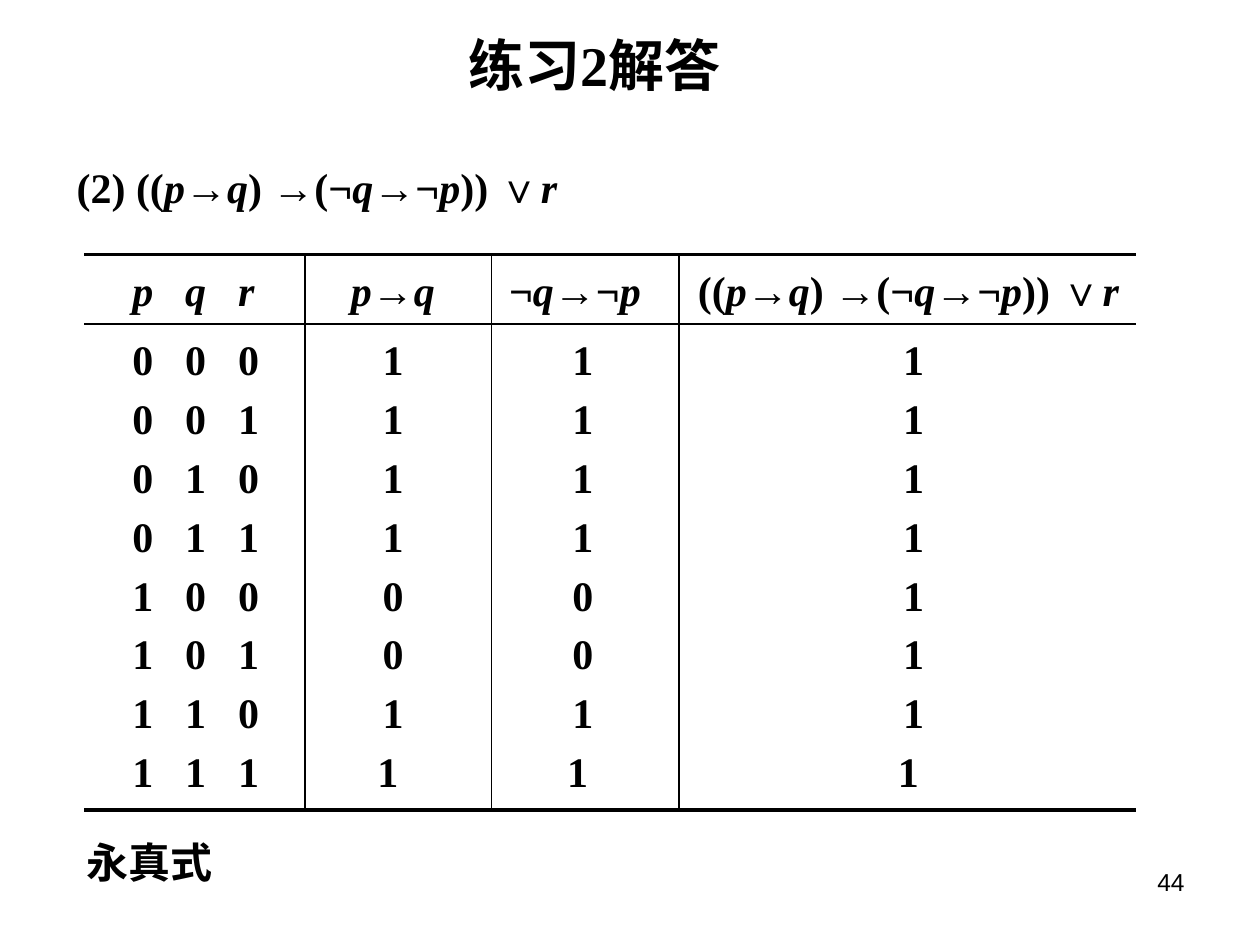
from itertools import groupby

from lxml.etree import SubElement
from pptx import Presentation
from pptx.dml.color import RGBColor
from pptx.enum.shapes import MSO_CONNECTOR as Connector
from pptx.enum.text import MSO_ANCHOR as Anchor, PP_ALIGN as Align
from pptx.oxml.ns import qn
from pptx.util import Inches, Pt

COLORS = {"ink": "000000"}
SERIF, SANS = "Times New Roman", "Arial"
VARIABLES = "pqr"

FORMULA = "((p→q) →(¬q→¬p)) ∨r"
TITLE = [("练习", SANS), ("2解答", SERIF)]
ASSIGNMENTS = ["000", "001", "010", "011", "100", "101", "110", "111"]
RESULT_COLUMNS = [
    {"header": "p→q ", "values": "11110011",
     "header_span": (2.42, 1.48), "value_span": (2.42, 1.4)},
    {"header": "¬q→¬p ", "values": "11110011",
     "header_span": (3.82, 1.57), "value_span": (3.93, 1.39)},
    {"header": FORMULA, "values": "11111111",
     "header_span": (5.24, 3.94), "value_span": (6.19, 2.12)},
]

LEFT, RIGHT = 0.67, 9.02
TOP, HEADER_BOTTOM, BOTTOM = 2.02, 2.57, 6.43
DIVIDERS = [2.42, 3.9, 5.39]
HORIZONTALS = [(TOP, 2.25), (HEADER_BOTTOM, 1), (BOTTOM, 2.25)]
CELL_INSET, VARIABLE_INSET, VARIABLE_STEP = 0.08, 0.38, 0.42
ROW_GAP = 4.8


def style(font, size, name=SERIF, bold=True):
    font.size, font.bold, font.name = Pt(size), bold, name
    font.color.rgb = RGBColor.from_string(COLORS["ink"])


def write_formula(para, text):
    style(para.font, 24)
    for is_variable, letters in groupby(text, lambda letter: letter in VARIABLES):
        span = para.add_run()
        span.text = "".join(letters)
        if is_variable:
            span.font.italic = True


def add_box(slide, left, top, width, height, align=Align.LEFT,
            anchor=Anchor.TOP, wrap=True):
    frame = slide.shapes.add_textbox(
        Inches(left), Inches(top), Inches(width), Inches(height)).text_frame
    frame.word_wrap, frame.vertical_anchor = wrap, anchor
    frame.paragraphs[0].alignment = align
    return frame


def add_tab_stops(para):
    tabs = SubElement(para._p.get_or_add_pPr(), qn("a:tabLst"))
    for step in range(1, len(VARIABLES)):
        SubElement(tabs, qn("a:tab"), pos=str(Inches(VARIABLE_STEP * step)), algn="l")


def add_column(slide, left, width, top, bottom, lines, tabbed=False):
    frame = add_box(slide, left, top, width, bottom - top)
    frame.margin_top = Inches(CELL_INSET)
    if tabbed:
        frame.margin_left = Inches(VARIABLE_INSET)
    for index, line in enumerate(lines):
        para = frame.add_paragraph() if index else frame.paragraphs[0]
        para.alignment = Align.LEFT if tabbed else Align.CENTER
        if index:
            para.space_before = Pt(ROW_GAP)
        if tabbed:
            add_tab_stops(para)
        write_formula(para, "\t".join(line) if tabbed else line)


def add_rule(slide, start, end, width):
    rule = slide.shapes.add_connector(
        Connector.STRAIGHT, *(Inches(value) for value in (*start, *end)))
    rule.line.width = Pt(width)
    rule.line.color.rgb = RGBColor.from_string(COLORS["ink"])
    SubElement(rule._element.spPr, qn("a:effectLst"))


def add_truth_table(slide):
    width = DIVIDERS[0] - LEFT
    add_column(slide, LEFT, width, TOP, HEADER_BOTTOM, [VARIABLES], tabbed=True)
    add_column(slide, LEFT, width, HEADER_BOTTOM, BOTTOM, ASSIGNMENTS, tabbed=True)
    for column in RESULT_COLUMNS:
        values = [*column["values"][:-1], column["values"][-1] + " "]
        add_column(slide, *column["header_span"], TOP, HEADER_BOTTOM, [column["header"]])
        add_column(slide, *column["value_span"], HEADER_BOTTOM, BOTTOM, values)
    for y, weight in HORIZONTALS:
        add_rule(slide, (LEFT, y), (RIGHT, y), weight)
    for x in DIVIDERS:
        add_rule(slide, (x, TOP), (x, BOTTOM), 1)


def main():
    deck = Presentation()
    deck.slide_width, deck.slide_height = Inches(10), Inches(7.5)
    slide = deck.slides.add_slide(deck.slide_layouts[6])

    title = add_box(slide, 2.16, 0.28, 5.12, 0.46, Align.CENTER, Anchor.MIDDLE)
    for text, name in TITLE:
        span = title.paragraphs[0].add_run()
        span.text = text
        style(span.font, 32, name)

    problem = add_box(slide, 0.51, 1.23, 5.04, 0.5)
    write_formula(problem.paragraphs[0], f"(2) {FORMULA}")
    add_truth_table(slide)

    verdict = add_box(slide, 0.59, 6.59, 1.21, 0.5, anchor=Anchor.MIDDLE, wrap=False)
    write_formula(verdict.paragraphs[0], "永真式")

    number = add_box(slide, 7.17, 6.83, 2.33, 0.52, Align.RIGHT).paragraphs[0]
    number.text = "44"
    style(number.font, 14, SANS, bold=False)

    deck.save("out.pptx")


if __name__ == "__main__":
    main()
